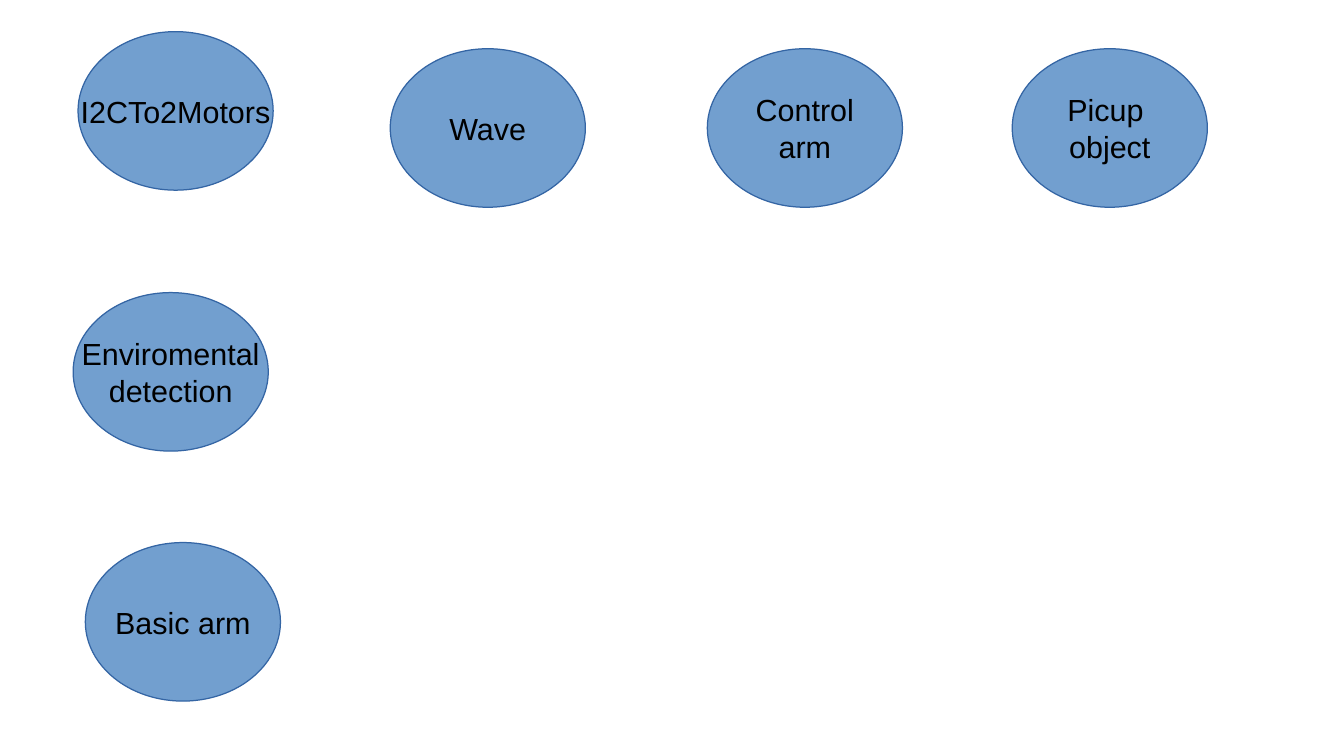
from pptx import Presentation
from pptx.dml.color import RGBColor
from pptx.enum.shapes import MSO_SHAPE
from pptx.enum.text import MSO_ANCHOR, PP_ALIGN
from pptx.util import Inches, Pt

COLORS = {"fill": "729FCF", "line": "3465A4", "text": "000000"}
FONT = "Arial"
NODE_WIDTH, NODE_HEIGHT = 1.6, 1.3

# label (\v is a line break), left, top
NODES = [
    ("Basic arm", 0.7, 4.45),
    ("Wave", 3.2, 0.4),
    ("Control\varm", 5.8, 0.4),
    ("Picup \vobject", 8.3, 0.4),
    ("Enviromental\vdetection", 0.6, 2.4),
    ("I2CTo2Motors", 0.64, 0.26),
]


def rgb(name):
    return RGBColor.from_string(COLORS[name])


def add_node(slide, label, left, top):
    sp = slide.shapes.add_shape(
        MSO_SHAPE.OVAL, Inches(left), Inches(top), Inches(NODE_WIDTH), Inches(NODE_HEIGHT)
    )
    sp.shadow.inherit = False
    sp.fill.solid()
    sp.fill.fore_color.rgb = rgb("fill")
    sp.line.color.rgb = rgb("line")
    sp.line.width = Pt(0)

    tf = sp.text_frame
    tf.word_wrap = False
    tf.vertical_anchor = MSO_ANCHOR.MIDDLE
    tf.text = label
    p = tf.paragraphs[0]
    p.alignment = PP_ALIGN.CENTER
    for r in p.runs:
        r.font.name = FONT
        r.font.size = Pt(18)
        r.font.color.rgb = rgb("text")


def main():
    prs = Presentation()
    prs.slide_width, prs.slide_height = Inches(11.02), Inches(6.2)
    slide = prs.slides.add_slide(prs.slide_layouts.get_by_name("Blank"))
    for label, left, top in NODES:
        add_node(slide, label, left, top)
    prs.save("out.pptx")


if __name__ == "__main__":
    main()
